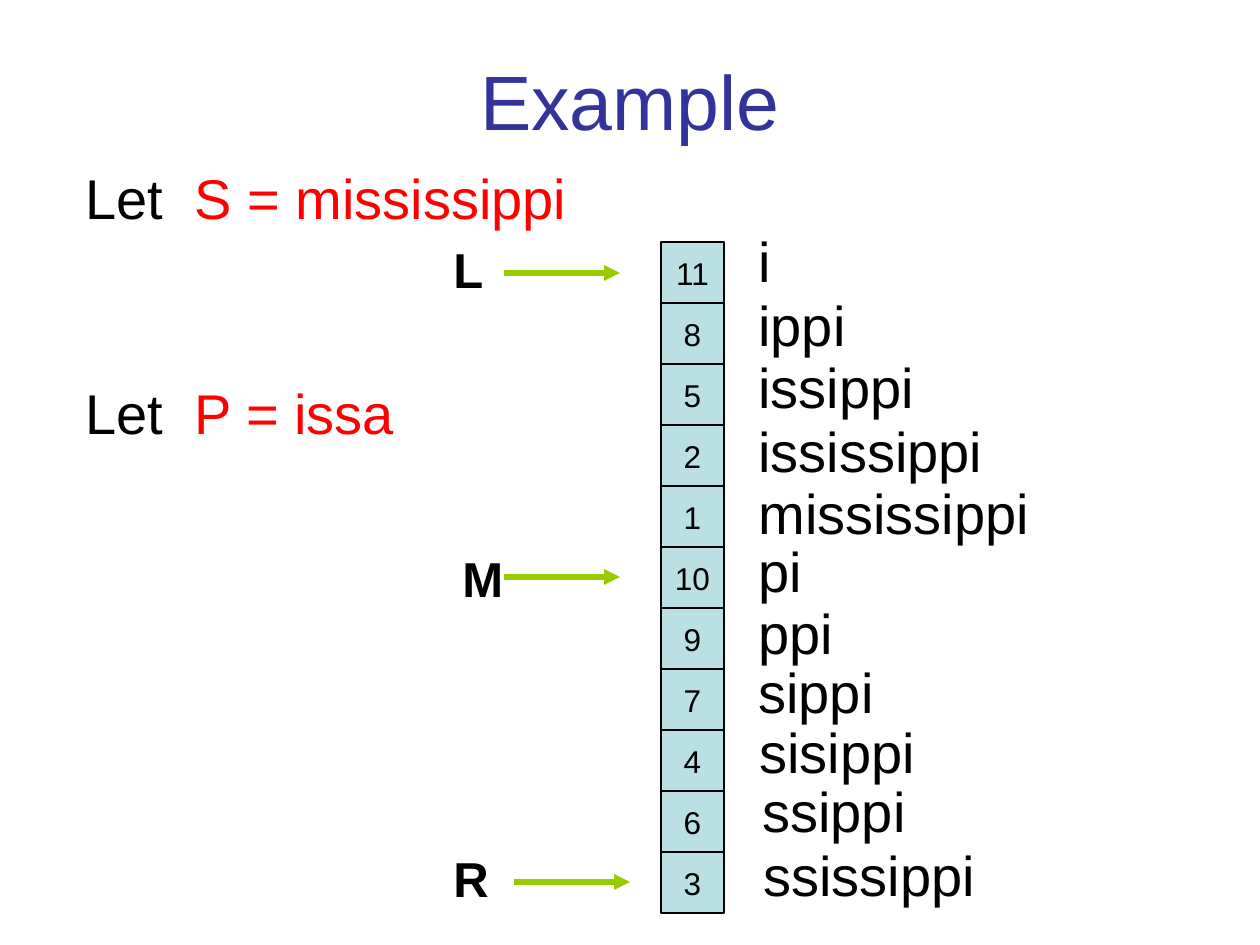
from lxml.etree import SubElement
from pptx import Presentation
from pptx.dml.color import RGBColor
from pptx.enum.shapes import MSO_CONNECTOR as Connector, MSO_SHAPE as Preset
from pptx.enum.text import MSO_ANCHOR as Anchor, MSO_AUTO_SIZE as AutoSize, PP_ALIGN as Align
from pptx.oxml.ns import qn
from pptx.util import Emu, Pt

EMU_PER_PX = 914400 // 126
BLACK, RED, BLUE, GREEN, AQUA = "000000", "FF0000", "333399", "99CC00", "BBE0E3"

SUFFIXES = [
    (11, "i", 746, 220), (8, "ippi", 746, 284), (5, "issippi", 746, 346),
    (2, "ississippi", 746, 410), (1, "mississippi", 746, 472),
    (10, "pi", 746, 530), (9, "ppi", 746, 592), (7, "sippi", 746, 651),
    (4, "sisippi", 747, 711), (6, "ssippi", 750, 770), (3, "ssissippi", 751, 834),
]
DEFINITIONS = [("S = mississippi", 157), ("P = issa", 372)]
POINTERS = [("L", 441, 233, 504, 273), ("M", 450, 542, 504, 577), ("R", 441, 842, 514, 882)]


def px(length):
    return Emu(length * EMU_PER_PX)


def color(value):
    return RGBColor.from_string(value)


def write(frame, *runs, size=32, bold=False, align=Align.LEFT, anchor=Anchor.TOP, tab=None):
    frame.vertical_anchor = anchor
    paragraph = frame.paragraphs[0]
    paragraph.alignment = align
    if tab:
        stops = SubElement(paragraph._p.get_or_add_pPr(), qn("a:tabLst"))
        SubElement(stops, qn("a:tab"), pos=str(px(tab)), algn="l")
    for text, fill in runs:
        run = paragraph.add_run()
        run.text = text
        run.font.name = "Arial"
        run.font.size = Pt(size)
        run.font.bold = bold
        run.font.color.rgb = color(fill)


class SlideBuilder:
    """Draws the elements of one slide in a shared style."""

    def __init__(self, slide):
        self.shapes = slide.shapes

    def text(self, left, top, width, height, *runs, grow=True, **style):
        frame = self.shapes.add_textbox(px(left), px(top), px(width), px(height)).text_frame
        frame.word_wrap = True
        frame.auto_size = AutoSize.SHAPE_TO_FIT_TEXT if grow else AutoSize.NONE
        write(frame, *runs, **style)

    def cell_column(self, left, top, width, height, values):
        group = self.shapes.add_group_shape()
        for row, value in enumerate(values):
            cell = group.shapes.add_shape(
                Preset.RECTANGLE, px(left), px(top + row * height), px(width), px(height))
            cell.shadow.inherit = False
            cell.fill.solid()
            cell.fill.fore_color.rgb = color(AQUA)
            cell.line.color.rgb = color(BLACK)
            cell.line.width = Pt(0.75)
            cell.text_frame.word_wrap = False
            write(cell.text_frame, (str(value), BLACK), size=18,
                  align=Align.CENTER, anchor=Anchor.MIDDLE)

    def arrow(self, left, y, length):
        connector = self.shapes.add_connector(
            Connector.STRAIGHT, px(left), px(y), px(left + length), px(y))
        connector.line.color.rgb = color(GREEN)
        connector.line.width = Pt(3)
        SubElement(connector.line._get_or_add_ln(), qn("a:tailEnd"), type="triangle")
        SubElement(connector._element.spPr, qn("a:effectLst"))


def main():
    presentation = Presentation()
    presentation.slide_width, presentation.slide_height = px(1260), px(945)
    builder = SlideBuilder(presentation.slides.add_slide(presentation.slide_layouts[6]))

    builder.text(63, 21, 1134, 158, ("Example", BLUE), grow=False, size=44,
                 align=Align.CENTER, anchor=Anchor.MIDDLE)
    for definition, top in DEFINITIONS:
        builder.text(73, top, 588, 81, ("Let\t", BLACK), (definition, RED), tab=109)
    builder.cell_column(661, 242, 63, 61, [suffix[0] for suffix in SUFFIXES])
    for _, suffix, left, top in SUFFIXES:
        builder.text(left, top, 472, 81, (suffix, BLACK))
    for label, left, top, arrow_left, arrow_y in POINTERS:
        builder.arrow(arrow_left, arrow_y, 116)
        builder.text(left, top, 73, 72, (label, BLACK), size=28, bold=True)

    presentation.save("out.pptx")


if __name__ == "__main__":
    main()
